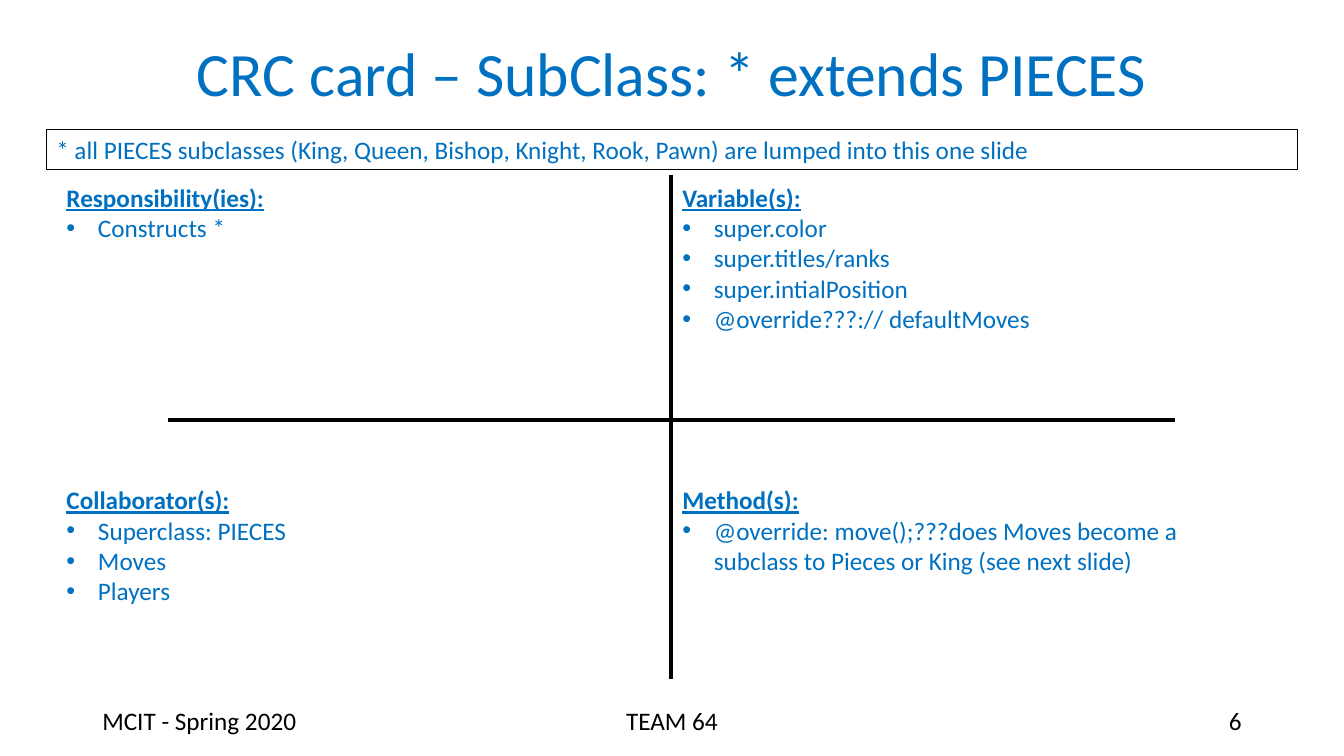
from lxml import etree
from pptx import Presentation
from pptx.dml.color import RGBColor
from pptx.enum.shapes import MSO_CONNECTOR, MSO_SHAPE
from pptx.enum.text import MSO_ANCHOR, PP_ALIGN
from pptx.oxml.ns import qn
from pptx.util import Pt

BLUE = RGBColor(0x00, 0x70, 0xC0)
BLACK = RGBColor(0x00, 0x00, 0x00)
FONT = "Calibri"
BODY_SIZE = 18
BULLET_INDENT = Pt(22.5)
LEFT, CENTER, RIGHT = PP_ALIGN.LEFT, PP_ALIGN.CENTER, PP_ALIGN.RIGHT
TOP, MIDDLE = MSO_ANCHOR.TOP, MSO_ANCHOR.MIDDLE
RECTANGLE = MSO_SHAPE.RECTANGLE
STRAIGHT = MSO_CONNECTOR.STRAIGHT

# Card grid
COLUMNS = (43.9, 483.8)
ROWS = (126.7, 342.7)
CELL_WIDTH, CELL_HEIGHT = 396, 144

# Each row holds the (heading, bullets) of its left and right cells
CARD = (
    (
        ("Responsibility(ies):", ("Constructs *",)),
        ("Variable(s):", ("super.color", "super.titles/ranks", "super.intialPosition",
                          "@override???:// defaultMoves")),
    ),
    (
        ("Collaborator(s):", ("Superclass: PIECES", "Moves", "Players")),
        ("Method(s):", ("@override: move();???does Moves become a subclass to Pieces "
                        "or King (see next slide)",)),
    ),
)

# Text, left, width, alignment
FOOTER = (
    ("MCIT - Spring 2020", 66, 216, LEFT),
    ("TEAM 64", 318, 324, CENTER),
    ("6", 678, 216, RIGHT),
)


def write_paragraph(paragraph, text, color, size=BODY_SIZE, align=LEFT, heading=False):
    paragraph.text = text
    paragraph.alignment = align
    font = paragraph.runs[0].font
    font.name, font.size, font.color.rgb = FONT, Pt(size), color
    font.bold = font.underline = heading


def add_bullet(paragraph):
    properties = paragraph._p.get_or_add_pPr()
    properties.set("marL", str(BULLET_INDENT))
    properties.set("indent", str(-BULLET_INDENT))
    bullet_color = etree.SubElement(properties, qn("a:buClr"))
    etree.SubElement(bullet_color, qn("a:srgbClr"), val=str(BLUE))
    etree.SubElement(properties, qn("a:buFont"), typeface="Arial")
    etree.SubElement(properties, qn("a:buChar"), char="•")


def add_text_box(slide, left, top, width, height):
    text_box = slide.shapes.add_textbox(Pt(left), Pt(top), Pt(width), Pt(height))
    text_box.text_frame.word_wrap = True
    return text_box.text_frame


def add_title(slide, text):
    title = slide.shapes.title
    title.left, title.top, title.width, title.height = Pt(66), Pt(2.2), Pt(828), Pt(104.4)
    title.text_frame.vertical_anchor = MIDDLE
    paragraph = title.text_frame.paragraphs[0]
    write_paragraph(paragraph, text, BLUE, 44, CENTER)
    paragraph.line_spacing = 0.9


def add_line(slide, x1, y1, x2, y2):
    line = slide.shapes.add_connector(STRAIGHT, Pt(x1), Pt(y1), Pt(x2), Pt(y2))
    line.line.color.rgb = BLACK
    line.line.width = Pt(3)
    etree.SubElement(line._element.spPr, qn("a:effectLst"))


def add_card_cell(slide, left, top, heading, bullets):
    frame = add_text_box(slide, left, top, CELL_WIDTH, CELL_HEIGHT)
    frame.margin_left = frame.margin_right = Pt(3.6)
    write_paragraph(frame.paragraphs[0], heading, BLUE, heading=True)
    for bullet in bullets:
        paragraph = frame.add_paragraph()
        write_paragraph(paragraph, bullet, BLUE)
        add_bullet(paragraph)


def add_note_bar(slide, text):
    bar = slide.shapes.add_shape(RECTANGLE, Pt(33.1), Pt(92.2), Pt(893.5), Pt(29.1))
    bar.shadow.inherit = False
    bar.fill.background()
    bar.line.color.rgb = BLACK
    bar.line.width = Pt(0.75)
    bar.text_frame.word_wrap = True
    bar.text_frame.vertical_anchor = TOP
    write_paragraph(bar.text_frame.paragraphs[0], text, BLUE)


def main():
    presentation = Presentation()
    presentation.slide_width, presentation.slide_height = Pt(960), Pt(540)
    slide = presentation.slides.add_slide(presentation.slide_layouts[5])

    add_title(slide, "CRC card – SubClass: * extends PIECES")

    # Dividing cross
    add_line(slide, 479.5, 125.3, 479.5, 485.3)
    add_line(slide, 120, 300.2, 839.5, 300.2)

    # Four card cells
    for top, row in zip(ROWS, CARD):
        for left, (heading, bullets) in zip(COLUMNS, row):
            add_card_cell(slide, left, top, heading, bullets)

    # Footer
    for text, left, width, align in FOOTER:
        frame = add_text_box(slide, left, 500.5, width, 28.8)
        write_paragraph(frame.paragraphs[0], text, BLACK, align=align)

    add_note_bar(slide, "* all PIECES subclasses (King, Queen, Bishop, Knight, Rook, Pawn) "
                        "are lumped into this one slide")

    presentation.save("out.pptx")


if __name__ == "__main__":
    main()
